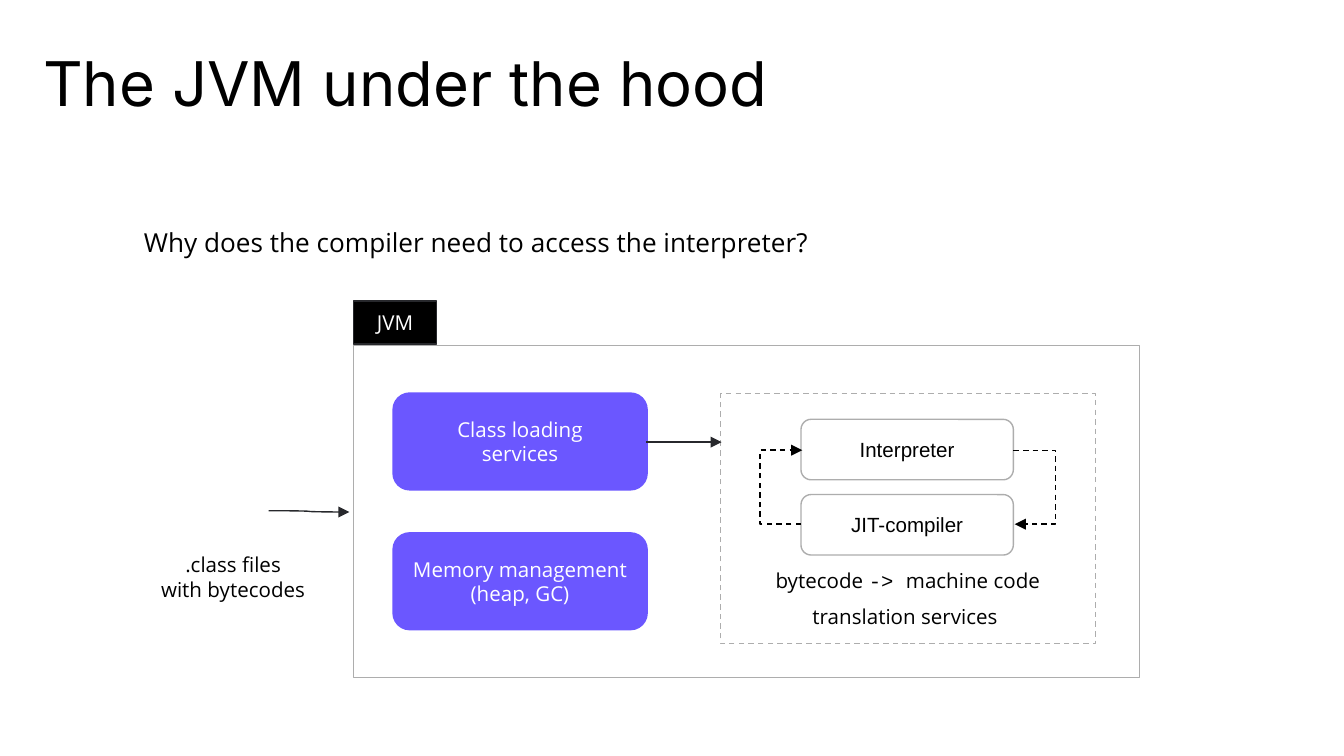
import pptx
import pptx.dml.color
import pptx.enum.dml
import pptx.enum.shapes
import pptx.enum.text
import pptx.oxml.ns
import pptx.util
from lxml import etree

Inches = pptx.util.Inches
Pt = pptx.util.Pt
qn = pptx.oxml.ns.qn
KIND = pptx.enum.shapes.MSO_SHAPE
LINK = pptx.enum.shapes.MSO_CONNECTOR
ALIGN = pptx.enum.text.PP_ALIGN
ANCHOR = pptx.enum.text.MSO_ANCHOR
DASH = pptx.enum.dml.MSO_LINE.DASH

BLACK, WHITE = "000000", "FFFFFF"
DARK, GRAY, VIOLET = "27282C", "ADADAD", "6B57FF"
SANS = "Open Sans"


def color(code):
    return pptx.dml.color.RGBColor.from_string(code)


def add_run(para, text, size=11, font=SANS, ink=BLACK):
    for row, part in enumerate(text.split("\n")):
        if row:
            para.add_line_break()
        run = para.add_run()
        run.text = part
        run.font.size = Pt(size)
        run.font.name = font
        run.font.color.rgb = color(ink)


def set_frame(frame, pads, anchor=ANCHOR.TOP):
    frame.word_wrap = True
    frame.auto_size = pptx.enum.text.MSO_AUTO_SIZE.NONE
    frame.vertical_anchor = anchor
    left, top, right, low = pads
    frame.margin_left, frame.margin_top = Inches(left), Inches(top)
    frame.margin_right, frame.margin_bottom = Inches(right), Inches(low)
    return frame.paragraphs[0]


def set_line(line, ink, width=0.75, dash=False):
    line.color.rgb = color(ink)
    line.width = Pt(width)
    if dash:
        line.dash_style = DASH


def add_label(slide, box, pads, align=ALIGN.LEFT):
    label = slide.shapes.add_textbox(*map(Inches, box))
    para = set_frame(label.text_frame, pads)
    para.alignment = align
    return label.text_frame, para


def add_box(slide, box, edge, fill=None, kind=KIND.RECTANGLE, width=0.75, dash=False):
    shape = slide.shapes.add_shape(kind, *map(Inches, box))
    shape.shadow.inherit = False
    if fill:
        shape.fill.solid()
        shape.fill.fore_color.rgb = color(fill)
    else:
        shape.fill.background()
    set_line(shape.line, edge, width, dash)
    return shape


def add_node(slide, box, text, edge, fill, font=SANS, ink=WHITE, **style):
    shape = add_box(slide, box, edge, fill, **style)
    para = set_frame(shape.text_frame, (0.1,) * 4, ANCHOR.MIDDLE)
    para.alignment = ALIGN.CENTER
    add_run(para, text, font=font, ink=ink)


def add_arrow(slide, start, end, ink=DARK, bend=None):
    kind = LINK.ELBOW if bend else LINK.CURVE
    arrow = slide.shapes.add_connector(kind, *map(Inches, start + end))
    set_line(arrow.line, ink, dash=bool(bend))
    props = arrow._element.spPr
    etree.SubElement(props.find(qn("a:ln")), qn("a:tailEnd"), type="triangle")
    etree.SubElement(props, qn("a:effectLst"))
    if bend:
        guides = props.find(qn("a:prstGeom")).find(qn("a:avLst"))
        value = f"val {bend * 100000}"
        etree.SubElement(guides, qn("a:gd"), name="adj1", fmla=value)


def add_title(slide):
    title = slide.shapes.title
    title.left, title.top = Inches(0.32), Inches(0.32)
    title.width, title.height = Inches(9.3), Inches(0.5)
    para = set_frame(title.text_frame, (0, 0.1, 0, 0.1))
    para.alignment = ALIGN.LEFT
    para.line_spacing = 0.85
    add_run(para, "The JVM under the hood", 33, "Inter")


def add_texts(slide):
    _, para = add_label(slide, (1.07, 1.55, 5.51, 0.44), (0, 0.1, 0, 0.1))
    para.line_spacing = 1.15
    add_run(para, "Why does the compiler need to access the interpreter?", 14)

    pads = (0.04, 0.04, 0.02, 0.04)
    _, para = add_label(slide, (1.15, 4.07, 1.15, 0.45), pads, ALIGN.CENTER)
    add_run(para, ".сlass files\nwith bytecodes")

    box = (5.52, 4.13, 2.47, 0.66)
    frame, para = add_label(slide, box, (0.1,) * 4, ALIGN.CENTER)
    add_run(para, "bytecode ")
    add_run(para, "-> ", font="Courier New")
    add_run(para, "machine code")
    para = frame.add_paragraph()
    para.alignment = ALIGN.CENTER
    para.space_before = Pt(6)
    add_run(para, "translation services ")


def add_nodes(slide):
    add_box(slide, (2.63, 2.57, 5.85, 2.47), GRAY)
    add_node(slide, (2.63, 2.24, 0.62, 0.32), "JVM", DARK, BLACK)
    add_box(slide, (5.36, 2.93, 2.79, 1.86), GRAY, dash=True)
    duties = ("Class loading\nservices", "Memory management\n(heap, GC)")
    for row, text in enumerate(duties):
        add_node(slide, (2.93, 2.93 + 1.04 * row, 1.88, 0.71), text, VIOLET, VIOLET,
                 kind=KIND.ROUNDED_RECTANGLE, width=1.5)
    for row, text in enumerate(("Interpreter", "JIT-compiler")):
        add_node(slide, (5.96, 3.12 + 0.56 * row, 1.58, 0.45), text, GRAY, WHITE,
                 "Arial", BLACK, kind=KIND.ROUNDED_RECTANGLE)


def add_arrows(slide):
    add_arrow(slide, (2, 3.8), (2.6, 3.81))
    add_arrow(slide, (4.81, 3.29), (5.37, 3.29))
    add_arrow(slide, (7.54, 3.35), (7.55, 3.9), BLACK, 32)
    add_arrow(slide, (5.96, 3.9), (5.97, 3.35), BLACK, -31)


def main():
    deck = pptx.Presentation()
    deck.slide_width = Inches(10)
    deck.slide_height = deck.slide_width * 9 // 16
    slide = deck.slides.add_slide(deck.slide_layouts[5])
    add_title(slide)
    add_nodes(slide)
    add_texts(slide)
    add_arrows(slide)
    deck.save("out.pptx")


if __name__ == "__main__":
    main()
